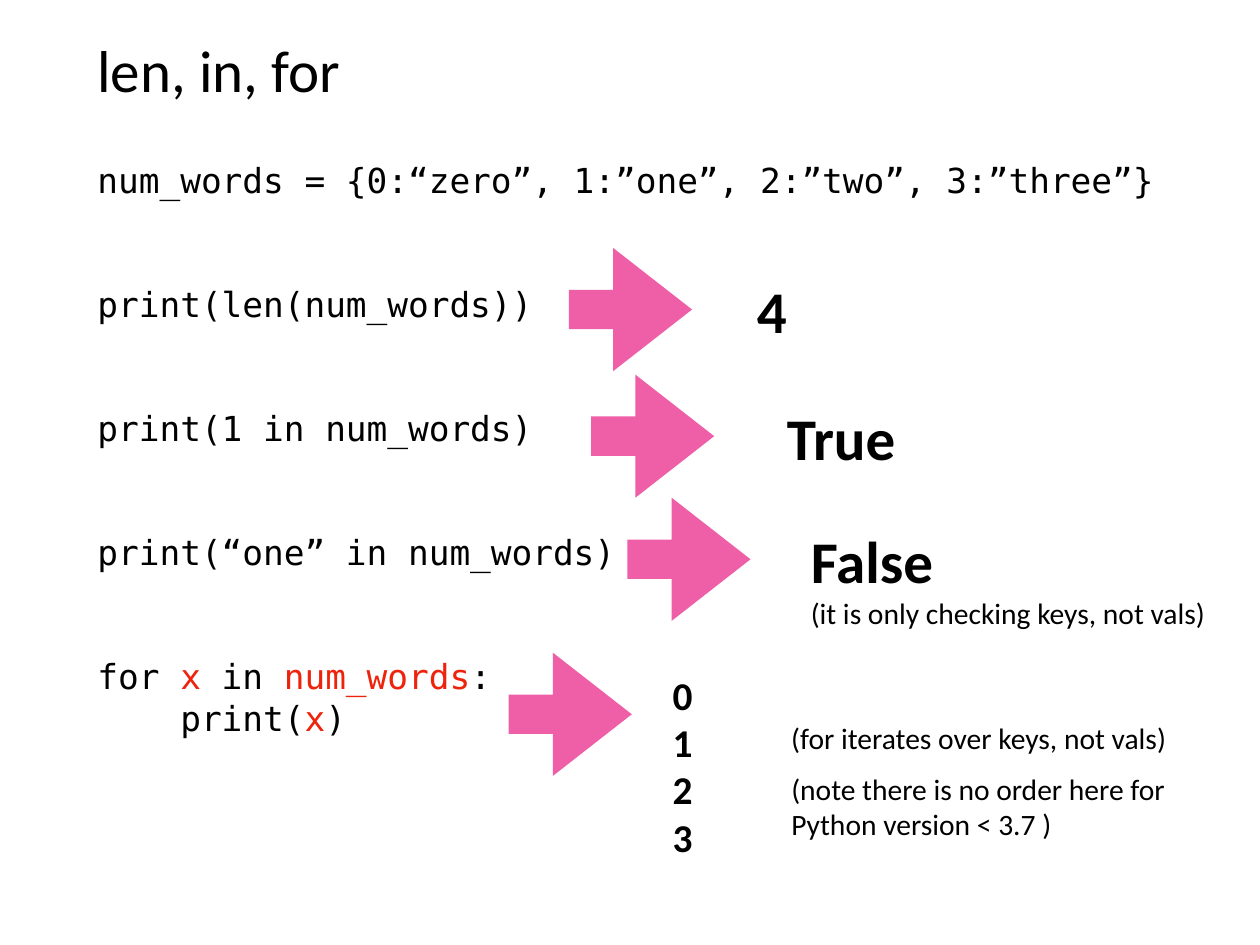
from dataclasses import dataclass

from lxml.etree import SubElement
from pptx import Presentation
from pptx.dml.color import RGBColor
from pptx.enum.shapes import MSO_SHAPE
from pptx.enum.text import MSO_ANCHOR, MSO_AUTO_SIZE, PP_ALIGN
from pptx.oxml.ns import qn
from pptx.util import Emu, Pt

PX = 9144  # 100 px to the inch
BLACK, RED, PINK = "000000", "EE230C", "EF5FA7"
SANS, MONO = "Calibri", "DejaVu Sans Mono"
ARROW_SIZE = 139
CODE_LINE = 33.6  # points
STATEMENT_GAP = 2 * CODE_LINE


@dataclass(frozen=True)
class Span:
    text: str
    size: int = 28
    bold: bool = False
    font: str = SANS
    color: str = BLACK


@dataclass(frozen=True)
class Box:
    left: int
    top: int
    width: int
    height: int


@dataclass(frozen=True)
class Output:
    box: Box
    lines: tuple[Span, ...]
    align: PP_ALIGN = PP_ALIGN.LEFT
    anchor: MSO_ANCHOR = MSO_ANCHOR.MIDDLE


@dataclass(frozen=True)
class CodeLine:
    spans: tuple[Span, ...]
    space_before: float = STATEMENT_GAP


def px(value: int) -> Emu:
    return Emu(value * PX)


def rgb(color: str) -> RGBColor:
    return RGBColor.from_string(color)


def code(text: str, color: str = BLACK) -> Span:
    return Span(text, font=MONO, color=color)


def big(text: str) -> Span:
    return Span(text, 48, True)


def remark(text: str) -> Span:
    return Span(text, 24)


def place(shape, box: Box) -> None:
    shape.left, shape.top = px(box.left), px(box.top)
    shape.width, shape.height = px(box.width), px(box.height)


def prepare_frame(shape, anchor: MSO_ANCHOR):
    frame = shape.text_frame
    frame.word_wrap = True
    frame.auto_size = MSO_AUTO_SIZE.NONE
    frame.vertical_anchor = anchor
    frame.margin_left = frame.margin_right = px(6)
    frame.margin_top = frame.margin_bottom = px(6)
    return frame


def get_paragraph(frame, index: int):
    return frame.add_paragraph() if index else frame.paragraphs[0]


def add_span(paragraph, span: Span) -> None:
    run = paragraph.add_run()
    run.text = span.text
    run.font.name = span.font
    run.font.size = Pt(span.size)
    run.font.bold = span.bold
    run.font.color.rgb = rgb(span.color)


def remove_bullet(paragraph) -> None:
    properties = paragraph._p.get_or_add_pPr()
    properties.set("marL", "0")
    properties.set("indent", "0")
    SubElement(properties, qn("a:buNone"))


def fill_title(shape) -> None:
    place(shape, Box(104, 28, 1214, 99))
    paragraph = prepare_frame(shape, MSO_ANCHOR.MIDDLE).paragraphs[0]
    paragraph.alignment = PP_ALIGN.LEFT
    add_span(paragraph, Span("len, in, for", 48))


def fill_code(shape, lines: list[CodeLine]) -> None:
    place(shape, Box(104, 174, 1262, 840))
    frame = prepare_frame(shape, MSO_ANCHOR.TOP)
    for index, line in enumerate(lines):
        paragraph = get_paragraph(frame, index)
        remove_bullet(paragraph)
        paragraph.line_spacing = Pt(CODE_LINE)
        paragraph.space_before = Pt(line.space_before)
        for span in line.spans:
            add_span(paragraph, span)


def add_arrow(slide, left: int, top: int) -> None:
    arrow = slide.shapes.add_shape(
        MSO_SHAPE.RIGHT_ARROW, px(left), px(top), px(ARROW_SIZE), px(ARROW_SIZE))
    arrow.adjustments[0], arrow.adjustments[1] = 0.32, 0.64
    arrow.fill.solid()
    arrow.fill.fore_color.rgb = rgb(PINK)
    arrow.line.fill.background()
    arrow.shadow.inherit = False


def add_output(slide, output: Output) -> None:
    shape = slide.shapes.add_textbox(0, 0, 0, 0)
    place(shape, output.box)
    frame = prepare_frame(shape, output.anchor)
    for index, span in enumerate(output.lines):
        paragraph = get_paragraph(frame, index)
        paragraph.alignment = output.align
        add_span(paragraph, span)


CODE_LINES = [
    CodeLine((code("num_words = {0:“zero”, 1:”one”, 2:”two”, 3:”three”}"),), 0),
    CodeLine((code("print(len(num_words))"),)),
    CodeLine((code("print(1 in num_words)"),)),
    CodeLine((code("print(“one” in num_words)"),)),
    CodeLine((code("for "), code("x", RED), code(" in "),
              code("num_words", RED), code(":"))),
    CodeLine((code("    print("), code("x", RED), code(")")), 0),
]

ARROWS = [(642, 280), (667, 423), (708, 562), (574, 737)]

OUTPUTS = [
    Output(Box(845, 306, 52, 88), (big("4"),), PP_ALIGN.CENTER),
    Output(Box(882, 449, 176, 88), (big("True"),)),
    Output(Box(909, 586, 462, 126),
           (big("False"), remark("(it is only checking keys, not vals)")),
           anchor=MSO_ANCHOR.TOP),
    Output(Box(753, 751, 38, 227),
           tuple(Span(str(key), 32, True) for key in range(4))),
    Output(Box(887, 808, 444, 50), (remark("(for iterates over keys, not vals)"),)),
    Output(Box(887, 864, 461, 92),
           (remark("(note there is no order here for"),
            remark("Python version < 3.7 )"))),
]


def main() -> None:
    presentation = Presentation()
    presentation.slide_width, presentation.slide_height = px(1422), px(1067)
    slide = presentation.slides.add_slide(presentation.slide_layouts[1])

    # Title and code
    fill_title(slide.shapes.title)
    fill_code(slide.placeholders[1], CODE_LINES)

    # Arrows and what each statement prints
    for left, top in ARROWS:
        add_arrow(slide, left, top)
    for output in OUTPUTS:
        add_output(slide, output)

    presentation.save("out.pptx")


if __name__ == "__main__":
    main()
